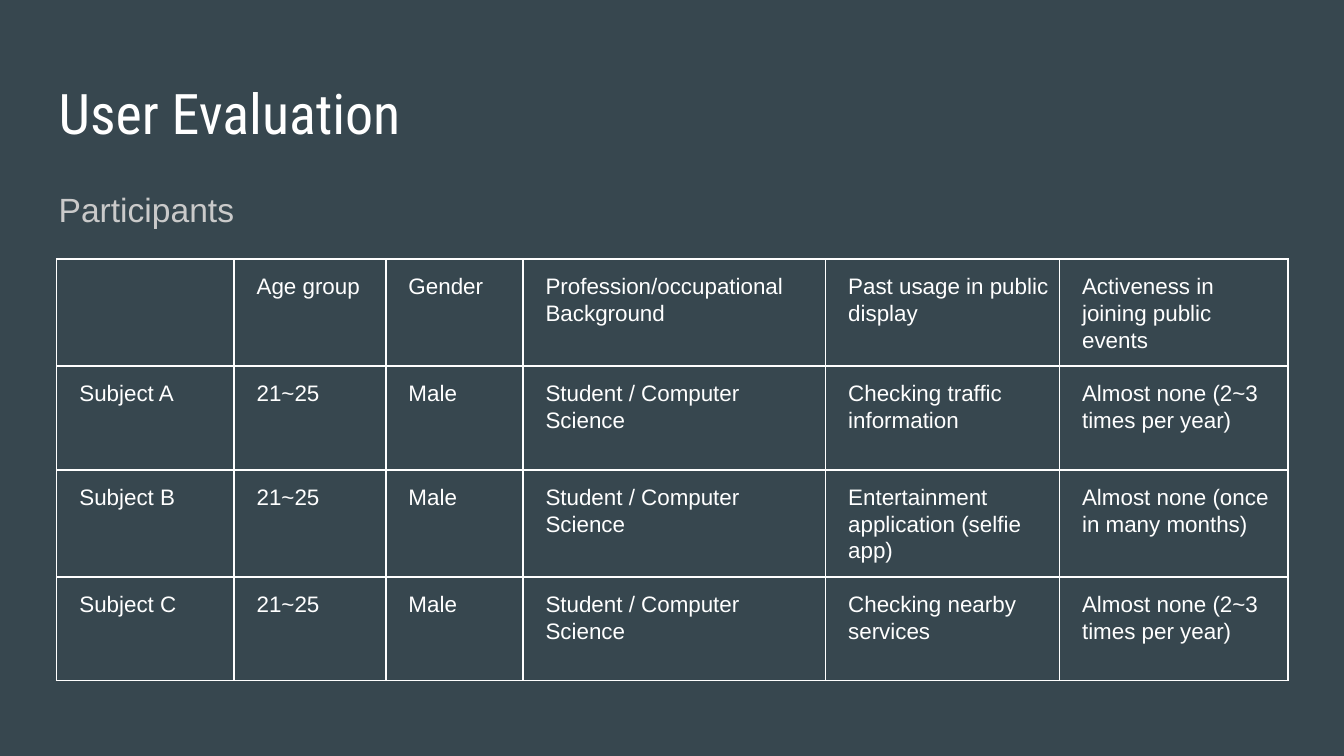
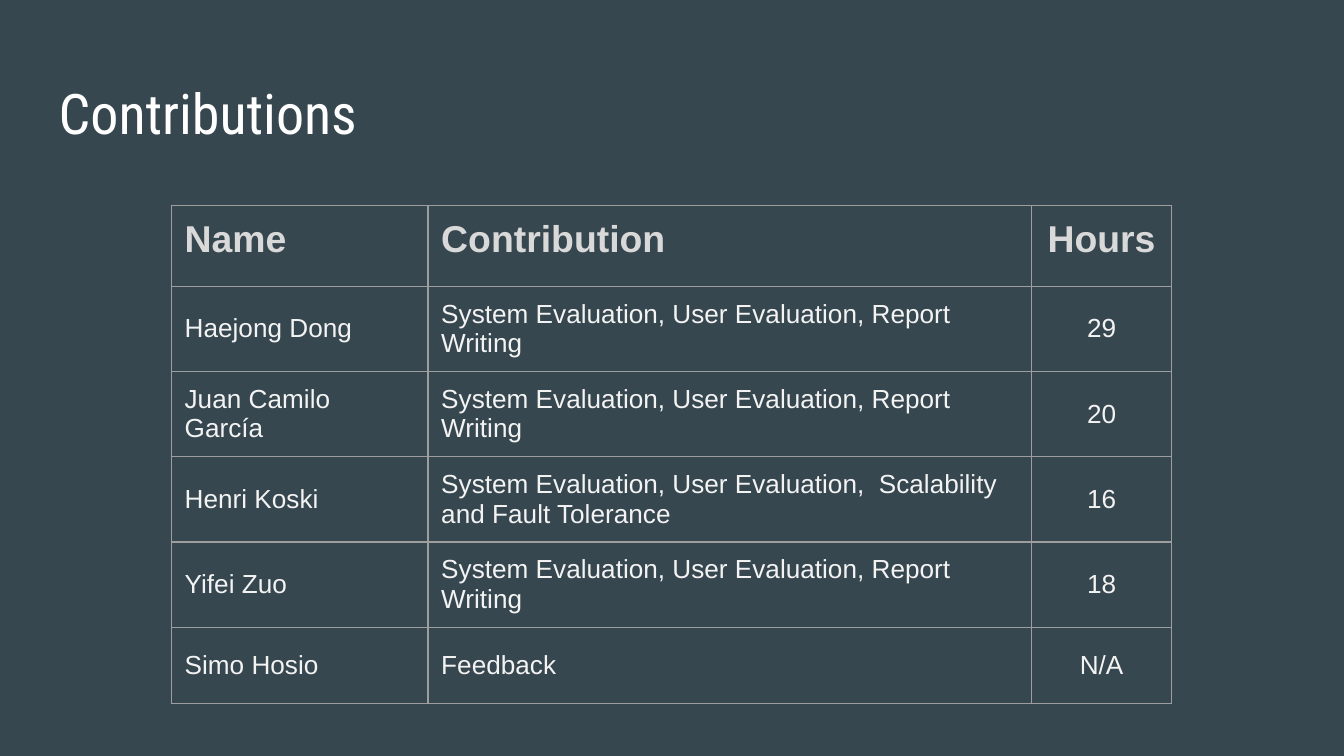
"""Build the user evaluation and contributions slides."""
from dataclasses import dataclass

from lxml.etree import SubElement
from pptx import Presentation
from pptx.dml.color import RGBColor
from pptx.enum.text import MSO_ANCHOR as Anchor, MSO_AUTO_SIZE as AutoSize, PP_ALIGN as Align
from pptx.oxml.ns import qn
from pptx.util import Cm, Pt

BACKGROUND = "37474F"
WHITE = "FFFFFF"
SUBTITLE_GREY = "CACACA"
HEADER_GREY = "D9D9D9"
BODY_GREY = "F3F3F3"
BORDER_GREY = "9E9E9E"
TITLE_FONT = "Roboto Condensed"
BODY_FONT = "Arial"
NO_STYLE = "{2D5ABB26-0587-4C30-8999-92F81FD0307C}"
TEXT_LEFT, TEXT_WIDTH = 0.86, 23.67
INSET = 0.25

PARTICIPANTS = [
    ["", "Age group", "Gender", "Profession/occupational Background",
     "Past usage in public display", "Activeness in joining public events"],
] + [
    [subject, "21~25", "Male", "Student / Computer Science", usage, activeness]
    for subject, usage, activeness in [
        ("Subject A", "Checking traffic information", "Almost none (2~3 times per year)"),
        ("Subject B", "Entertainment application (selfie app)", "Almost none (once in many months)"),
        ("Subject C", "Checking nearby services", "Almost none (2~3 times per year)"),
    ]
]
EVALUATION_AND_REPORT = "System Evaluation, User Evaluation, Report Writing"
CONTRIBUTIONS = [
    ["Name", "Contribution", "Hours"],
    ["Haejong Dong", EVALUATION_AND_REPORT, "29"],
    ["Juan Camilo García", EVALUATION_AND_REPORT, "20"],
    ["Henri Koski", "System Evaluation, User Evaluation,  Scalability and Fault Tolerance", "16"],
    ["Yifei Zuo", EVALUATION_AND_REPORT, "18"],
    ["Simo Hosio", "Feedback", "N/A"],
]


@dataclass
class TextStyle:
    """Character format of a text."""
    size: float
    color: str
    font: str = BODY_FONT
    bold: bool = False


TITLE = TextStyle(30, WHITE, TITLE_FONT)
SUBTITLE = TextStyle(18, SUBTITLE_GREY)
PARTICIPANT = TextStyle(12, WHITE)
CONTRIBUTION_HEADER = TextStyle(20, HEADER_GREY, bold=True)
CONTRIBUTION = TextStyle(14, BODY_GREY)


def rgb(color):
    """Turn a hex string into a colour."""
    return RGBColor.from_string(color)


def format_paragraph(paragraph, style, align=Align.LEFT, line_spacing=1.0, space_after=0):
    """Apply spacing to a paragraph and a style to its runs."""
    paragraph.alignment = align
    paragraph.line_spacing = line_spacing
    paragraph.space_before = Pt(0)
    paragraph.space_after = Pt(space_after)
    for run in paragraph.runs:
        run.font.name = style.font
        run.font.size = Pt(style.size)
        run.font.bold = style.bold
        run.font.color.rgb = rgb(style.color)


def set_margins(holder, horizontal, vertical):
    """Set the margins of a text frame or a cell."""
    holder.margin_left = holder.margin_right = Cm(horizontal)
    holder.margin_top = holder.margin_bottom = Cm(vertical)


def fill_text_frame(frame, text, style, **spacing):
    """Write one wrapped, top-anchored paragraph."""
    frame.text = text
    frame.word_wrap = True
    frame.auto_size = AutoSize.NONE
    frame.vertical_anchor = Anchor.TOP
    set_margins(frame, INSET, INSET)
    format_paragraph(frame.paragraphs[0], style, **spacing)


def add_titled_slide(prs, text):
    """Add a slide with the shared title."""
    slide = prs.slides.add_slide(prs.slide_layouts[5])
    title = slide.shapes.title
    title.left, title.top = Cm(TEXT_LEFT), Cm(1.24)
    title.width, title.height = Cm(TEXT_WIDTH), Cm(1.6)
    fill_text_frame(title.text_frame, text, TITLE)
    return slide


def add_subtitle(slide, text):
    """Add the line below the title."""
    subtitle = slide.shapes.add_textbox(Cm(TEXT_LEFT), Cm(3.2), Cm(TEXT_WIDTH), Cm(1.32))
    fill_text_frame(subtitle.text_frame, text, SUBTITLE, line_spacing=1.15, space_after=16)


def set_borders(cell, color, width):
    """Draw all four borders of a cell."""
    properties = cell._tc.get_or_add_tcPr()
    for position, side in enumerate(("a:lnL", "a:lnR", "a:lnT", "a:lnB")):
        border = SubElement(properties, qn(side), w=str(Pt(width)))
        fill = SubElement(border, qn("a:solidFill"))
        SubElement(fill, qn("a:srgbClr"), val=color)
        properties.insert(position, border)


def add_grid(slide, rows, left, top, widths, heights, border):
    """Add an unfilled table with borders and return it."""
    table = slide.shapes.add_table(
        len(rows), len(widths), Cm(left), Cm(top), Cm(sum(widths)), Cm(sum(heights))
    ).table
    table.first_row = table.horz_banding = False
    table._tbl.tblPr.find(qn("a:tableStyleId")).text = NO_STYLE
    for column, width in zip(table.columns, widths):
        column.width = Cm(width)
    for row, height, texts in zip(table.rows, heights, rows):
        row.height = Cm(height)
        for cell, text in zip(row.cells, texts):
            cell.text_frame.text = text
            cell.fill.background()
            set_borders(cell, *border)
    return table


def add_participants(slide):
    """Add the table of test subjects."""
    table = add_grid(slide, PARTICIPANTS, 1.07, 4.9,
                     [3.35, 2.87, 2.59, 5.72, 4.42, 4.32], [1.96] * 4, (WHITE, 1))
    for cell in table.iter_cells():
        set_margins(cell, 0.18, INSET)
        paragraph = cell.text_frame.paragraphs[0]
        format_paragraph(paragraph, PARTICIPANT, line_spacing=1.07, space_after=8)
        indent = paragraph._p.get_or_add_pPr()
        indent.set("marL", str(Cm(INSET)))
        indent.set("indent", "0")


def add_contributions(slide):
    """Add the table of people, work and hours."""
    table = add_grid(slide, CONTRIBUTIONS, 3.24, 3.89,
                     [4.85, 11.41, 2.64], [1.52] + [1.44] * 5, (BORDER_GREY, 0.75))
    for number, row in enumerate(table.rows):
        style = CONTRIBUTION if number else CONTRIBUTION_HEADER
        for cell, align in zip(row.cells, (Align.LEFT, Align.LEFT, Align.CENTER)):
            set_margins(cell, INSET, INSET)
            cell.vertical_anchor = Anchor.MIDDLE if number else Anchor.TOP
            format_paragraph(cell.text_frame.paragraphs[0], style, align)


def main():
    """Build and save both slides."""
    prs = Presentation()
    prs.slide_width, prs.slide_height = Cm(25.4), Cm(14.29)
    backdrop = prs.slide_master.background.fill
    backdrop.solid()
    backdrop.fore_color.rgb = rgb(BACKGROUND)

    evaluation = add_titled_slide(prs, "User Evaluation")
    add_subtitle(evaluation, "Participants")
    add_participants(evaluation)

    add_contributions(add_titled_slide(prs, "Contributions"))
    prs.save("out.pptx")


if __name__ == "__main__":
    main()
